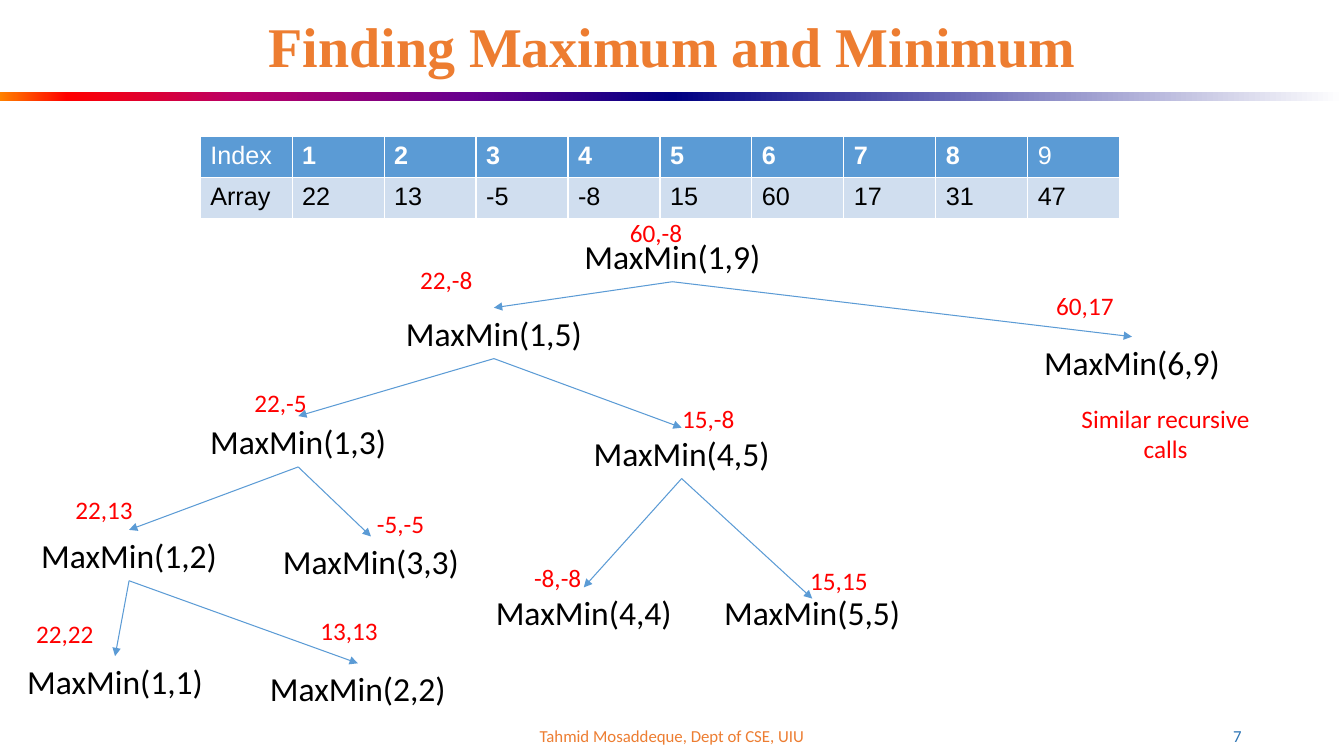
from pptx import Presentation
from pptx.util import Pt
from pptx.dml.color import RGBColor
from pptx.enum.shapes import MSO_SHAPE, MSO_CONNECTOR
from pptx.enum.text import PP_ALIGN, MSO_ANCHOR
from pptx.oxml.ns import qn
from lxml.etree import SubElement

ORANGE, RED, BLACK, WHITE = "ED7D31", "FF0000", "000000", "FFFFFF"
BLUE, PALE, NAVY = "5B9BD5", "D0DEEF", "2E75B5"

TITLE = "Finding Maximum and Minimum"
FOOTER = "Tahmid Mosaddeque, Dept of CSE, UIU"
PAGE = "7"
BARS = [
    [(0, "FF8200"), (10, "FF0000"), (35, "BA0066"), (70, "66008F"), (100, "000082")],
    [(0, "000082"), (100, "FFFFFF")],
]
ROWS = [
    ["Index", "1", "2", "3", "4", "5", "6", "7", "8", "9"],
    ["Array", "22", "13", "-5", "-8", "15", "60", "17", "31", "47"],
]
# call: (centre, top, result, result left, result top)
CALLS = {
    "1,9": (480.3, 164.9, "60,-8", 442.8, 151.9),
    "1,5": (352.8, 219.8, "22,-8", 293, 185),
    "6,9": (808.6, 240.5, "60,17", 747.4, 203.8),
    "1,3": (213, 297.2, "22,-5", 174.6, 272.9),
    "4,5": (486.9, 305.5, "15,-8", 480.2, 284.4),
    "1,2": (92.2, 378.5, "22,13", 46.8, 349.2),
    "3,3": (265, 383.2, "-5,-5", 262.1, 359.3),
    "4,4": (417, 419.6, "-8,-8", 374.4, 398.2),
    "5,5": (580.2, 419.6, "15,15", 571.7, 400.3),
    "1,1": (82.2, 468.7, "22,22", 18.7, 437.8),
    "2,2": (255.6, 473.8, "13,13", 221.8, 435.6),
}
SPLITS = {
    "1,9": ["1,5", "6,9"],
    "1,5": ["1,3", "4,5"],
    "1,3": ["1,2", "3,3"],
    "4,5": ["4,4", "5,5"],
    "1,2": ["1,1", "2,2"],
}
DROP = {"5,5": 8}
NODE_W, NODE_H = 141, 36.35
COL_W, ROW_H = 65.7, 29.2

deck = Presentation()
deck.slide_width, deck.slide_height = Pt(960), Pt(540)
slide = deck.slides.add_slide(deck.slide_layouts[6])
shapes = slide.shapes


def color(code):
    return RGBColor.from_string(code)


def style(para, size, code, face="Calibri", bold=False, align=None):
    font = para.font
    font.size, font.name, font.bold = Pt(size), face, bold
    font.color.rgb = color(code)
    para.alignment = align


def text(words, x, y, w, h, size, code, align=PP_ALIGN.LEFT,
         face="Calibri", bold=False, anchor=MSO_ANCHOR.TOP):
    frame = shapes.add_textbox(Pt(x), Pt(y), Pt(w), Pt(h)).text_frame
    frame.word_wrap = True
    frame.vertical_anchor = anchor
    frame.text = words
    for para in frame.paragraphs:
        style(para, size, code, face, bold, align)
    return frame


def bar(x, stops):
    shape = shapes.add_shape(MSO_SHAPE.RECTANGLE, Pt(x), Pt(66), Pt(480), Pt(6))
    shape.shadow.inherit = False
    shape.line.fill.background()
    shape.fill.gradient()
    shape.fill.gradient_angle = 0
    items = next(shape._element.spPr.iter(qn("a:gsLst")))
    for old in list(items):
        items.remove(old)
    for place, code in stops:
        stop = SubElement(items, qn("a:gs"), pos=str(place * 1000))
        SubElement(stop, qn("a:srgbClr"), val=code)


def arrow(start, end):
    x, y = CALLS[start][:2]
    to_x, to_y = CALLS[end][:2]
    line = shapes.add_connector(MSO_CONNECTOR.STRAIGHT, Pt(x), Pt(y + NODE_H),
                                Pt(to_x), Pt(to_y + DROP.get(end, 0)))
    line.line.color.rgb = color(BLUE)
    line.line.width = Pt(0.75)
    SubElement(line.line._get_or_add_ln(), qn("a:tailEnd"), type="triangle")
    SubElement(line._element.spPr, qn("a:effectLst"))


def grid():
    count = len(ROWS[0])
    table = shapes.add_table(len(ROWS), count, Pt(143), Pt(97.5),
                             Pt(COL_W * count), Pt(ROW_H * len(ROWS))).table
    for col in table.columns:
        col.width = Pt(COL_W)
    for r, row in enumerate(ROWS):
        table.rows[r].height = Pt(ROW_H)
        for c, words in enumerate(row):
            cell = table.cell(r, c)
            cell.text = words
            cell.fill.solid()
            cell.fill.fore_color.rgb = color(PALE if r else BLUE)
            bold = r == 0 and 0 < c < count - 1
            style(cell.text_frame.paragraphs[0], 18, BLACK if r else WHITE, "Arial", bold)


for i, stops in enumerate(BARS):
    bar(480 * i, stops)
mid = MSO_ANCHOR.MIDDLE
text(FOOTER, 318, 511, 324, 28.8, 12, ORANGE, PP_ALIGN.CENTER, anchor=mid)
text(PAGE, 678, 511, 216, 28.8, 12, NAVY, PP_ALIGN.RIGHT, anchor=mid)
head = text(TITLE, 66, 11.5, 828, 47.5, 40, ORANGE, PP_ALIGN.CENTER,
            "Times New Roman", True, mid)
head.paragraphs[0].line_spacing = 0.9
grid()
for start, ends in SPLITS.items():
    for end in ends:
        arrow(start, end)
for call, (x, y, result, left, top) in CALLS.items():
    text(f"MaxMin({call})", x - NODE_W / 2, y, NODE_W, NODE_H, 24, BLACK, PP_ALIGN.CENTER)
    text(result, left, top, 56, 29, 18, RED)
text("Similar recursive\ncalls", 764.6, 284.4, 136, 51, 18, RED, PP_ALIGN.CENTER)

deck.save("out.pptx")
